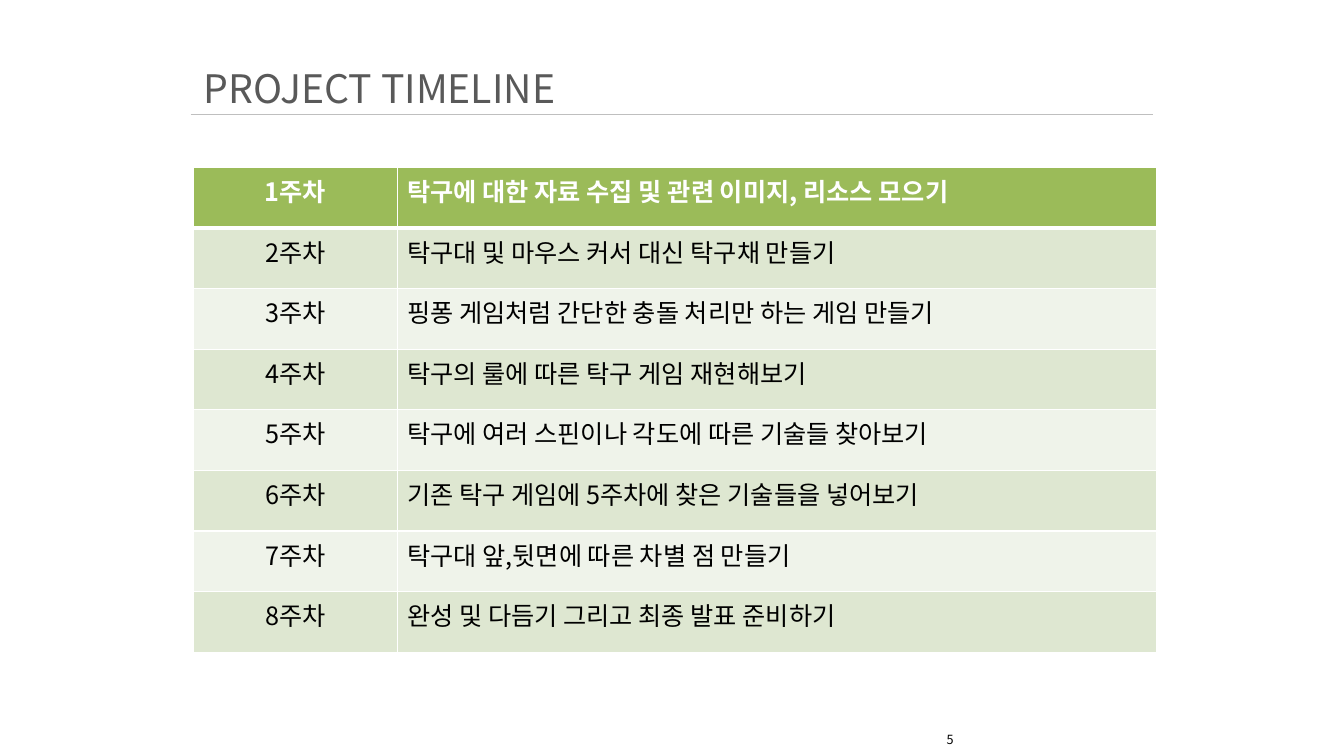
from lxml import etree
from pptx import Presentation
from pptx.dml.color import RGBColor
from pptx.enum.shapes import MSO_CONNECTOR as Connector
from pptx.enum.text import MSO_ANCHOR as Anchor, MSO_AUTO_SIZE as AutoSize, PP_ALIGN as Align
from pptx.oxml.ns import qn
from pptx.util import Inches, Pt

FONT = "Noto Sans CJK KR"
COLORS = {
    "title": "595959",
    "rule": "BFBFBF",
    "text": "000000",
    "white": "FFFFFF",
    "header": "9BBB59",
    "dark_band": "DEE7D1",
    "light_band": "EFF3EA",
}
TASKS = [
    "탁구에 대한 자료 수집 및 관련 이미지, 리소스 모으기",
    "탁구대 및 마우스 커서 대신 탁구채 만들기",
    "핑퐁 게임처럼 간단한 충돌 처리만 하는 게임 만들기",
    "탁구의 룰에 따른 탁구 게임 재현해보기",
    "탁구에 여러 스핀이나 각도에 따른 기술들 찾아보기",
    "기존 탁구 게임에 5주차에 찾은 기술들을 넣어보기",
    "탁구대 앞,뒷면에 따른 차별 점 만들기",
    "완성 및 다듬기 그리고 최종 발표 준비하기",
]


def color(name):
    return RGBColor.from_string(COLORS[name])


def write(frame, text, color_name, align=Align.LEFT, **formats):
    para = frame.paragraphs[0]
    para.alignment = align
    span = para.add_run()
    span.text = text
    for name, value in {"name": FONT, **formats}.items():
        setattr(span.font, name, value)
    span.font.color.rgb = color(color_name)
    latin = span.font._element.find(qn("a:latin"))
    east_asian = etree.Element(qn("a:ea"), typeface=FONT)
    latin.addnext(east_asian)


def set_borders(cell, widths):
    """Draw white cell borders; widths maps a side (L, R, T, B) to points."""
    properties = cell._tc.get_or_add_tcPr()
    for index, (side, width) in enumerate(widths.items()):
        line = etree.Element(qn(f"a:ln{side}"), w=str(Pt(width)))
        fill = etree.SubElement(line, qn("a:solidFill"))
        etree.SubElement(fill, qn("a:srgbClr"), val=COLORS["white"])
        properties.insert(index, line)


def place(shape, left, top, width, height):
    box = {"left": left, "top": top, "width": width, "height": height}
    for name, value in box.items():
        setattr(shape, name, Inches(value))


def add_heading(page, left, top, width, height):
    title = page.shapes.title
    place(title, left, top, width, height)
    frame = title.text_frame
    frame.auto_size = AutoSize.NONE
    frame.vertical_anchor = Anchor.TOP
    write(frame, "PROJECT TIMELINE", "title", size=Pt(28))

    rule_left, rule_top = Inches(left - 0.03), Inches(top + 0.54)
    rule = page.shapes.add_connector(
        Connector.STRAIGHT, rule_left, rule_top, rule_left + Inches(9.55), rule_top
    )
    rule.line.color.rgb = color("rule")
    rule.line.width = Pt(0.25)
    etree.SubElement(rule._element.spPr, qn("a:effectLst"))


def add_timeline(page, left, top, width, height):
    box = [Inches(length) for length in (left, top, width, height)]
    table = page.shapes.add_table(len(TASKS), 2, *box).table
    week_width = 2.02
    table.columns[0].width = Inches(week_width)
    table.columns[1].width = Inches(width - week_width)

    for index, task in enumerate(TASKS):
        header = index == 0
        band = "header" if header else ("light_band", "dark_band")[index % 2]
        widths = {"L": 1, "R": 1, "T": 3 if index == 1 else 1, "B": 3 if header else 1}
        texts = [(f"{index + 1}주차", Align.CENTER), (task, Align.LEFT)]
        for cell, (text, align) in zip(table.rows[index].cells, texts):
            cell.fill.solid()
            cell.fill.fore_color.rgb = color(band)
            set_borders(cell, widths)
            text_color = "white" if header else "text"
            write(cell.text_frame, text, text_color, align, size=Pt(18), bold=header)


def add_page_number(page, left, top, width, height):
    number = page.shapes.add_textbox(*[Inches(n) for n in (left, top, width, height)])
    frame = number.text_frame
    frame.word_wrap = True
    frame.vertical_anchor = Anchor.MIDDLE
    write(frame, "5", "text", size=Pt(9))


def main():
    deck = Presentation()
    deck.slide_width, deck.slide_height = Inches(13.33), Inches(7.5)
    page = deck.slides.add_slide(deck.slide_layouts[5])
    add_heading(page, 1.92, 0.59, 5.39, 0.57)
    add_page_number(page, 9.29, 7.19, 2.33, 0.3)
    add_timeline(page, 1.92, 1.66, 9.55, 4.81)
    deck.save("out.pptx")


if __name__ == "__main__":
    main()
